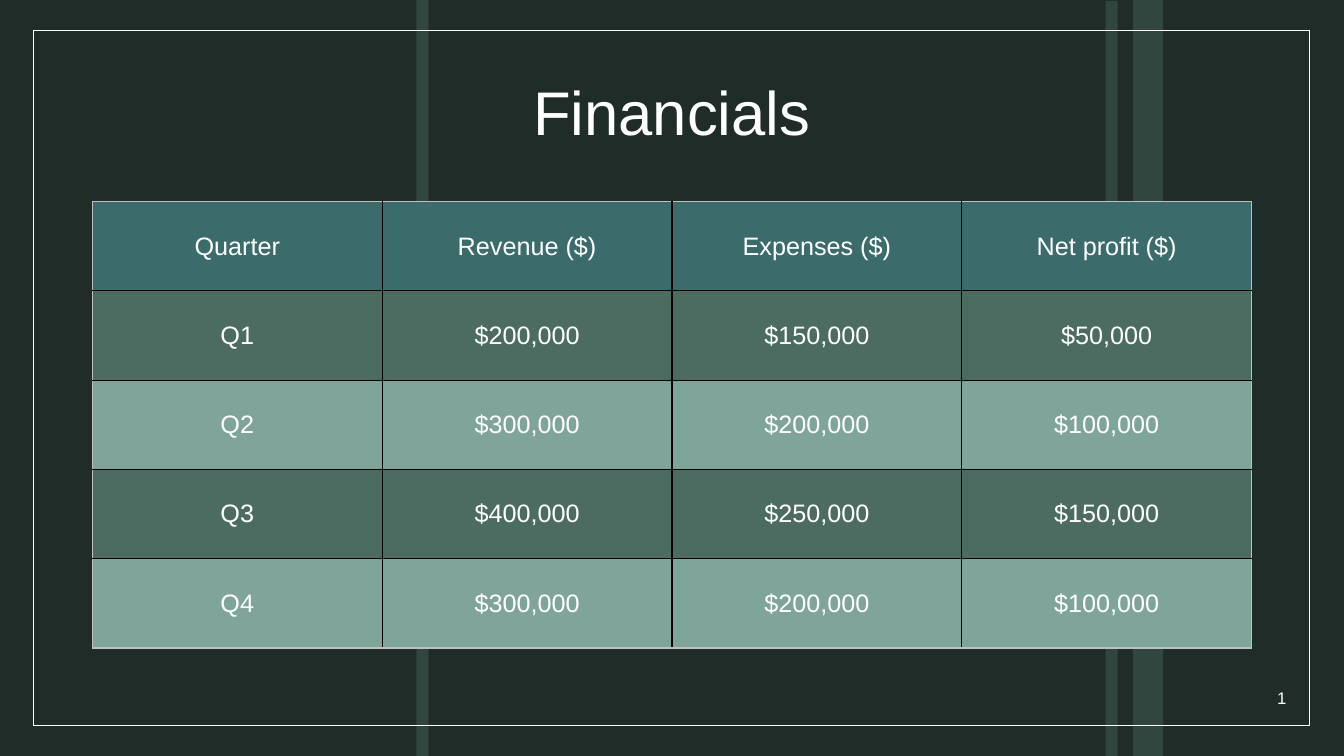
from lxml.etree import SubElement
from pptx import Presentation
from pptx.dml.color import RGBColor
from pptx.enum.shapes import MSO_SHAPE as Shape
from pptx.enum.text import MSO_ANCHOR as Anchor, PP_ALIGN as Align
from pptx.oxml.ns import qn
from pptx.util import Pt

COLORS = {
    "background": "1F2C28",
    "stripe": "31463F",
    "text": "FFFFFF",
    "header": "3B6B6B",
    "odd": "4C6C62",
    "even": "7FA59A",
    "grid": "000000",
    "edge": "BFBFBF",
}
FINANCIALS = [
    ["Quarter", "Revenue ($)", "Expenses ($)", "Net profit ($)"],
    ["Q1", "$200,000", "$150,000", "$50,000"],
    ["Q2", "$300,000", "$200,000", "$100,000"],
    ["Q3", "$400,000", "$250,000", "$150,000"],
    ["Q4", "$300,000", "$200,000", "$100,000"],
]


def color(name):
    return RGBColor.from_string(COLORS[name])


class SlideBuilder:
    """Adds elements in the deck's style to one slide."""

    font = "Arial"

    def __init__(self, slide):
        self.slide = slide
        self.shapes = slide.shapes
        slide.background.fill.solid()
        slide.background.fill.fore_color.rgb = color("background")

    def set_text(self, frame, text, size, align):
        frame.text = text
        paragraph = frame.paragraphs[0]
        paragraph.alignment = align
        for run in paragraph.runs:
            run.font.name = self.font
            run.font.size = Pt(size)
            run.font.color.rgb = color("text")
        return paragraph

    def rectangle(self, box, fill=None, line=None):
        rectangle = self.shapes.add_shape(Shape.RECTANGLE, *map(Pt, box))
        rectangle.shadow.inherit = False
        if fill:
            rectangle.fill.solid()
            rectangle.fill.fore_color.rgb = color(fill)
        else:
            rectangle.fill.background()
        if line:
            rectangle.line.color.rgb = color(line)
            rectangle.line.width = Pt(1)
        else:
            rectangle.line.fill.background()

    def title(self, text, box):
        title = self.shapes.title
        title.left, title.top, title.width, title.height = map(Pt, box)
        title.text_frame.vertical_anchor = Anchor.MIDDLE
        self.set_text(title.text_frame, text, 44, Align.CENTER).line_spacing = 0.9
        self.shapes._spTree.append(title._element)

    def text(self, text, box, size, align):
        frame = self.shapes.add_textbox(*map(Pt, box)).text_frame
        frame.word_wrap = True
        frame.vertical_anchor = Anchor.MIDDLE
        self.set_text(frame, text, size, align)

    def border(self, cell, side, name):
        line = SubElement(cell._tc.get_or_add_tcPr(), qn(f"a:ln{side}"), w=str(Pt(1)))
        fill = SubElement(line, qn("a:solidFill"))
        SubElement(fill, qn("a:srgbClr"), val=COLORS[name])

    def table(self, rows, box):
        last_row, last_column = len(rows) - 1, len(rows[0]) - 1
        table = self.shapes.add_table(len(rows), len(rows[0]), *map(Pt, box)).table
        for r, values in enumerate(rows):
            band = "header" if r == 0 else "odd" if r % 2 else "even"
            for c, value in enumerate(values):
                cell = table.cell(r, c)
                outer = {"L": c == 0, "R": c == last_column, "T": r == 0, "B": r == last_row}
                for side, is_outer in outer.items():
                    self.border(cell, side, "edge" if is_outer else "grid")
                cell.fill.solid()
                cell.fill.fore_color.rgb = color(band)
                cell.vertical_anchor = Anchor.MIDDLE
                self.set_text(cell.text_frame, value, 18, Align.CENTER)


def main():
    deck = Presentation()
    deck.slide_width, deck.slide_height = Pt(960), Pt(540)
    builder = SlideBuilder(deck.slides.add_slide(deck.slide_layouts[5]))
    for left, top, width in [(789.8, 0.7, 8.6), (297.4, 0, 8.6), (809.3, 0, 21.6)]:
        builder.rectangle((left, top, width, 540 - top), fill="stripe")
    builder.rectangle((23.8, 21.6, 911.5, 496.8), line="text")
    builder.title("Financials", (30, 30, 900, 104.4))
    builder.table(FINANCIALS, (66, 144, 828, 319))
    builder.text("1", (859.7, 484, 66.2, 28.8), 12, Align.RIGHT)
    deck.save("out.pptx")


if __name__ == "__main__":
    main()
